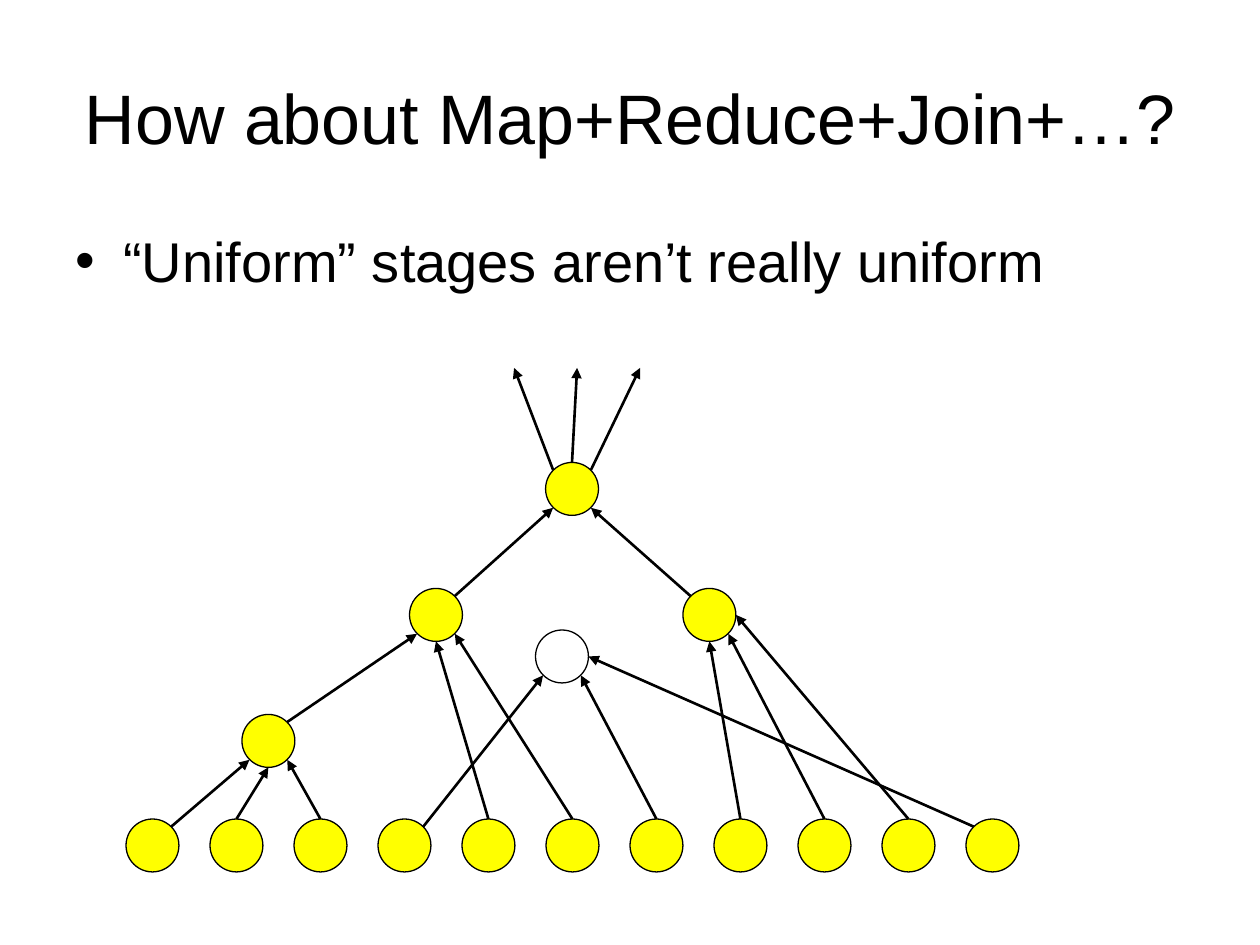
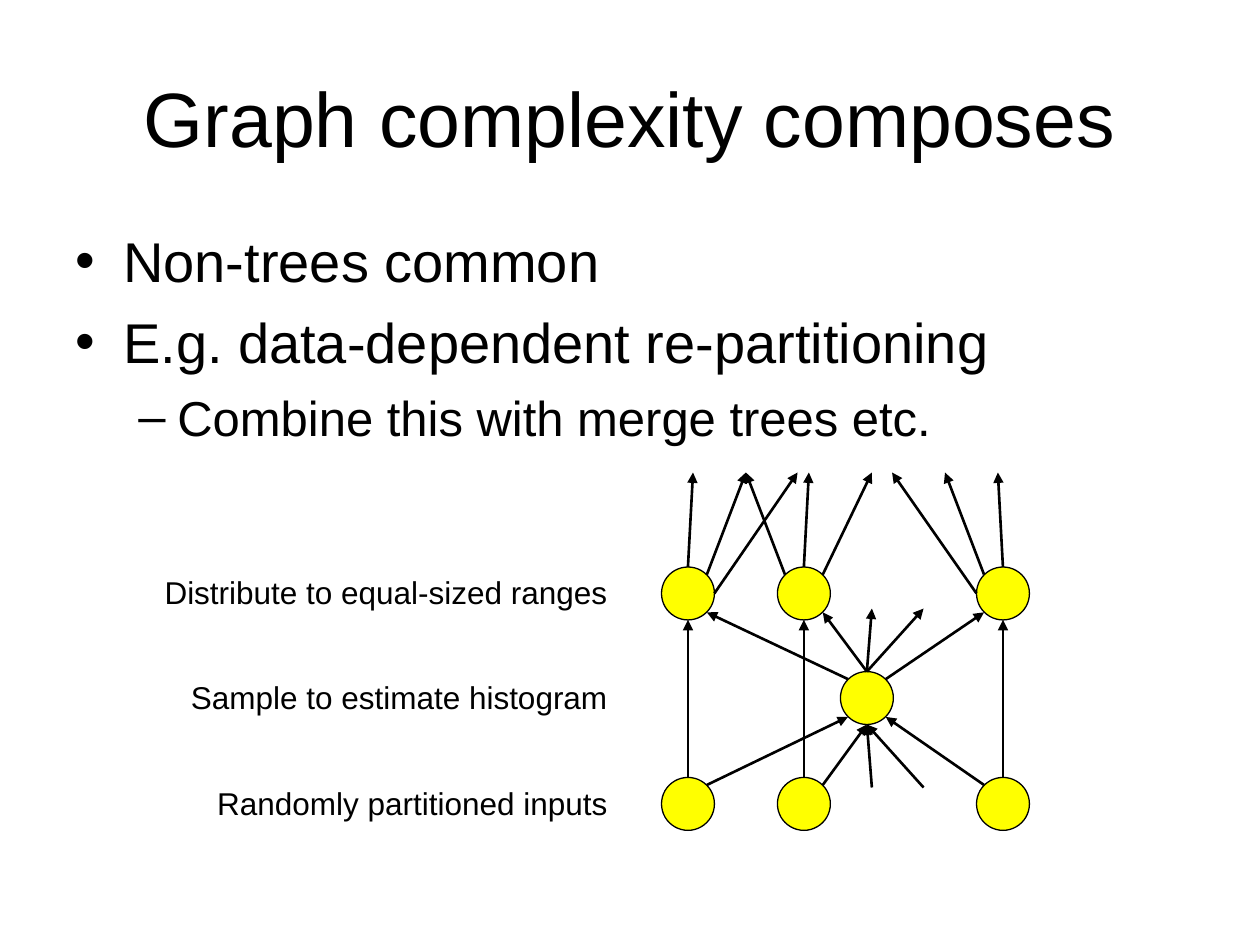
from lxml import etree
from pptx import Presentation
from pptx.dml.color import RGBColor
from pptx.enum.shapes import MSO_CONNECTOR as LINK, MSO_SHAPE as SHAPE
from pptx.enum.text import MSO_ANCHOR as ANCHOR, PP_ALIGN as ALIGN
from pptx.oxml.ns import qn
from pptx.util import Inches, Pt

BLACK = RGBColor(0, 0, 0)
WHITE = RGBColor(255, 255, 255)
YELLOW = RGBColor(255, 255, 0)
FONT = "Arial"
SIZE = 0.42
R = SIZE / 2
D = 0.15
SIDES = {
    "": (0, 0),
    "n": (0, -R), "s": (0, R), "w": (-R, 0), "e": (R, 0),
    "nw": (-D, -D), "ne": (D, -D), "sw": (-D, D), "se": (D, D),
}
# size, left margin, hanging indent, space before, bullet
LEVELS = [(32, 0.38, 0.38, 8, "•"), (28, 0.81, 0.31, 7, "–")]


def node(slide, x, y, fill=YELLOW):
    """Draw a round vertex at left x, top y and return its centre."""
    dot = slide.shapes.add_shape(
        SHAPE.OVAL, Inches(x), Inches(y), Inches(SIZE), Inches(SIZE))
    dot.shadow.inherit = False
    dot.fill.solid()
    dot.fill.fore_color.rgb = fill
    dot.line.color.rgb = BLACK
    dot.line.width = Pt(0.75)
    return x + R, y + R


def arrow(slide, start, out, end, into):
    """Draw an arrow from one point to another, each moved to a side of its vertex."""
    ends = [Inches(c + off) for point, side in ((start, out), (end, into))
            for c, off in zip(point, SIDES[side])]
    line = slide.shapes.add_connector(LINK.STRAIGHT, *ends)
    line.line.color.rgb = BLACK
    line.line.width = Pt(1.5)
    etree.SubElement(line.line._get_or_add_ln(), qn("a:tailEnd"), type="triangle")
    etree.SubElement(line._element.spPr, qn("a:effectLst"))


prs = Presentation()
prs.slide_width = Inches(10)
prs.slide_height = Inches(7.5)

# Titles and bullets
pages = [
    ("How about Map+Reduce+Join+…?", 40,
     [("“Uniform” stages aren’t really uniform", 0)]),
    ("Graph complexity composes", 44,
     [("Non-trees common", 0),
      ("E.g. data-dependent re-partitioning", 0),
      ("Combine this with merge trees etc.", 1)]),
]
slides = []
for head, size, points in pages:
    slide = prs.slides.add_slide(prs.slide_layouts[5])
    slides.append(slide)
    title = slide.shapes.title
    title.left, title.top = Inches(0.5), Inches(0.3)
    title.width, title.height = Inches(9), Inches(1.25)
    title.text_frame.text = head
    title.text_frame.vertical_anchor = ANCHOR.MIDDLE
    para = title.text_frame.paragraphs[0]
    para.alignment = ALIGN.CENTER
    font = para.runs[0].font
    font.name, font.size, font.color.rgb = FONT, Pt(size), BLACK

    body = slide.shapes.add_textbox(
        Inches(0.5), Inches(1.75), Inches(9), Inches(4.95)).text_frame
    body.word_wrap = True
    body.text = "\n".join(text for text, level in points)
    for i, (para, (text, level)) in enumerate(zip(body.paragraphs, points)):
        size, left, hang, gap, mark = LEVELS[level]
        para.level = level
        props = para._p.get_or_add_pPr()
        props.set("marL", str(Inches(left)))
        props.set("indent", str(-Inches(hang)))
        etree.SubElement(props, qn("a:buFont"), typeface=FONT)
        etree.SubElement(props, qn("a:buChar"), char=mark)
        para.space_before = Pt(gap if i else 0)
        font = para.runs[0].font
        font.name, font.size, font.color.rgb = FONT, Pt(size), BLACK

tree, graph = slides

# Uneven merge tree
leaves = [node(tree, 1 + i * 2 / 3, 6.5) for i in range(11)]
low = node(tree, 1.92, 5.67)
mid = node(tree, 3.25, 4.67)
blank = node(tree, 4.25, 5, WHITE)
right = node(tree, 5.42, 4.67)
top = node(tree, 4.33, 3.67)

feeds = [
    ("ne", low, "sw"), ("n", low, "s"), ("n", low, "se"),
    ("ne", blank, "sw"), ("n", mid, "s"), ("n", mid, "se"),
    ("n", blank, "se"), ("n", right, "s"), ("n", right, "se"),
    ("n", right, "e"), ("nw", blank, "e"),
]
for leaf, (out, goal, into) in zip(leaves, feeds):
    arrow(tree, leaf, out, goal, into)
arrow(tree, low, "ne", mid, "sw")
arrow(tree, mid, "ne", top, "sw")
arrow(tree, right, "nw", top, "se")
for out, x in (("nw", 4.08), ("n", 4.58), ("ne", 5.08)):
    arrow(tree, top, out, (x, 2.92), "")

# Re-partitioning graph
hub = node(graph, 6.67, 5.33)
columns = [
    # left, input to hub, hub to range, arrows up
    (5.25, ("ne", "sw"), ("nw", "se"), (("n", 5.5), ("ne", 5.92), ("e", 6.33))),
    (6.17, ("ne", "s"), ("n", "se"), (("nw", 5.92), ("n", 6.42), ("ne", 6.92))),
    (7.75, ("nw", "se"), ("ne", "sw"), (("w", 7.08), ("nw", 7.5), ("n", 7.92))),
]
for x, gather, spread, rays in columns:
    source = node(graph, x, 6.17)
    span = node(graph, x, 4.5)
    arrow(graph, source, "n", span, "s")
    arrow(graph, source, gather[0], hub, gather[1])
    arrow(graph, hub, spread[0], span, spread[1])
    for out, goal in rays:
        arrow(graph, span, out, (goal, 3.75), "")
for x in (6.92, 7.33):
    arrow(graph, (x, 6.25), "", hub, "s")
    arrow(graph, hub, "n", (x, 4.83), "")

labels = [
    ("Distribute to equal-sized ranges", 4.5),
    ("Sample to estimate histogram", 5.33),
    ("Randomly partitioned inputs", 6.17),
]
for text, y in labels:
    frame = graph.shapes.add_textbox(
        Inches(0.92), Inches(y), Inches(4), Inches(0.4)).text_frame
    frame.word_wrap = True
    frame.text = text
    para = frame.paragraphs[0]
    para.alignment = ALIGN.RIGHT
    font = para.runs[0].font
    font.name, font.size, font.color.rgb = FONT, Pt(18), BLACK

prs.save("out.pptx")
